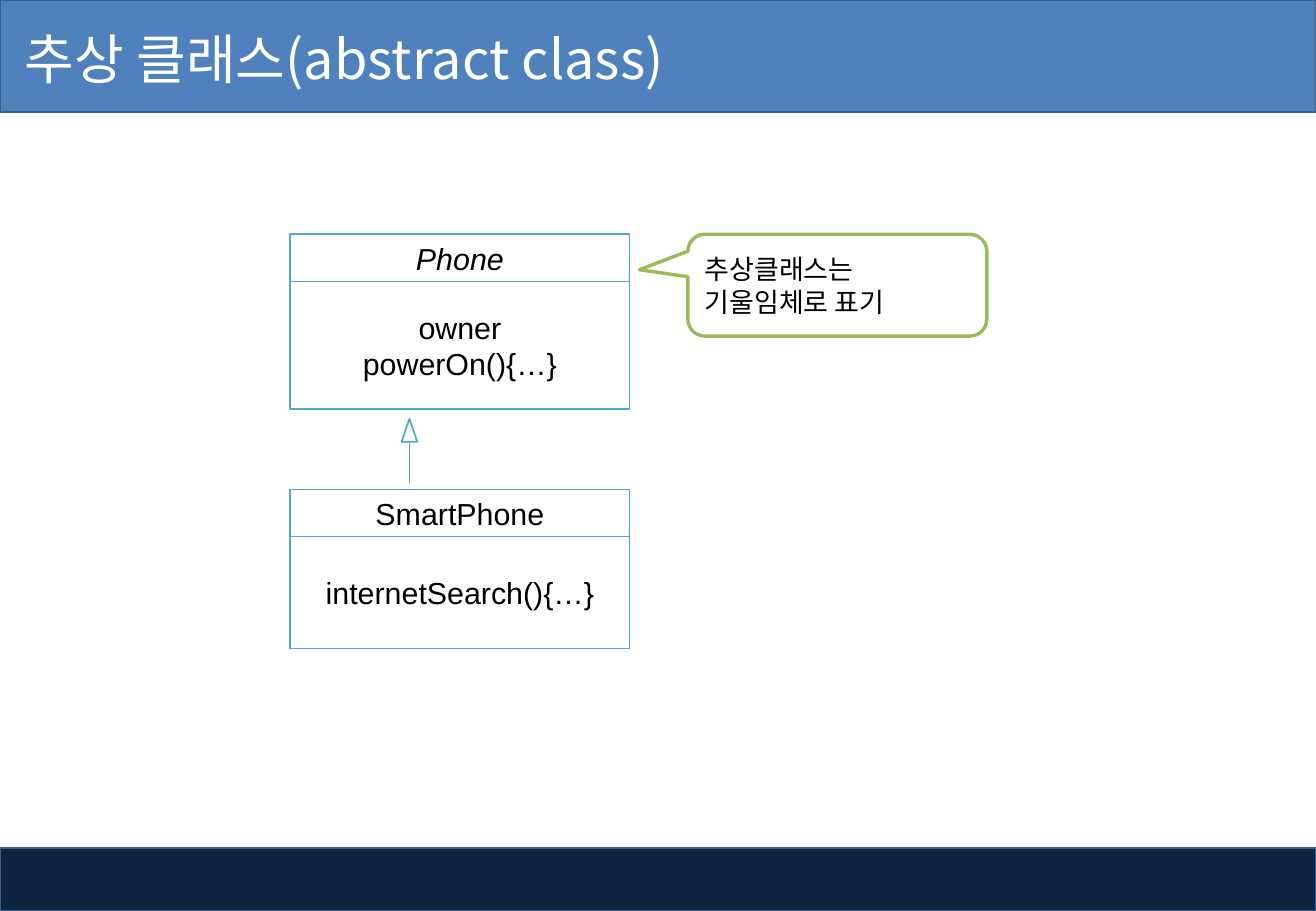
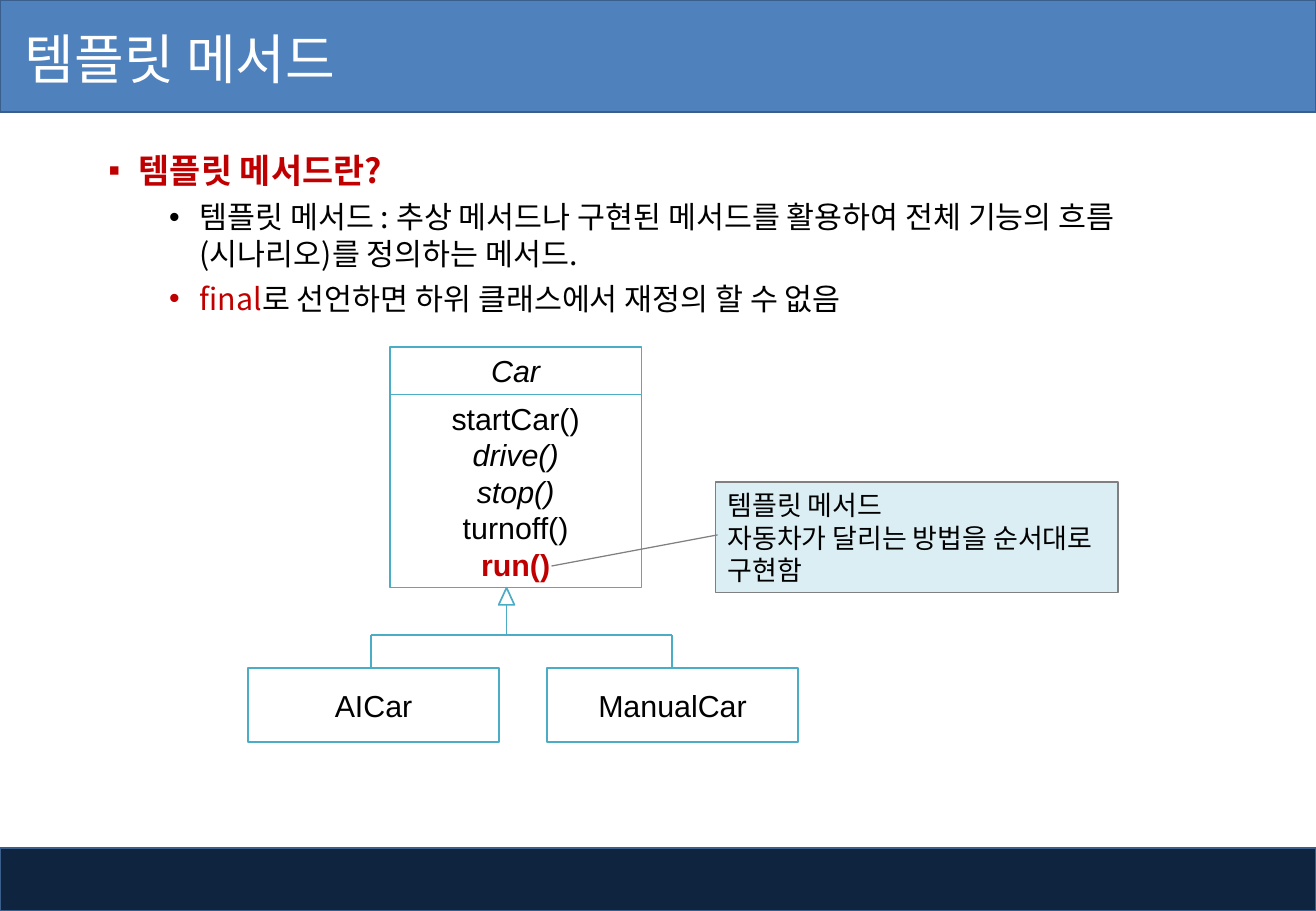
from lxml.etree import SubElement
from pptx import Presentation
from pptx.dml.color import RGBColor
from pptx.enum.shapes import MSO_CONNECTOR as Connector, MSO_SHAPE as Preset
from pptx.enum.text import MSO_ANCHOR as Anchor, MSO_AUTO_SIZE as AutoSize, PP_ALIGN as Align
from pptx.oxml.ns import qn
from pptx.util import Cm, Pt

COLORS = {
    "band": "4F81BD", "band_line": "3A5F8C", "footer": "0F243E",
    "uml": "4BACC6", "callout": "9BBB59", "note": "DBEEF4", "note_line": "808080",
    "accent": "C00000", "text": "000000", "white": "FFFFFF",
}
KOREAN, LATIN = "Noto Sans CJK KR", "Arial"
WIDTH, HEIGHT = 27.51, 19.05
LINE_FACTOR = 1.2

BANDS = [((0, 0, WIDTH, 2.34), "band"), ((0, 17.73, WIDTH, 1.32), "footer")]
TITLE_BOX = (0, 0.05, 17.2, 2.34)
BODY_BOX = (2.01, 3.0, 23.16, 3.6)

ITALIC = {"italic": True}
ACCENT = {"color": "accent"}
ACCENT_BOLD = {"color": "accent", "bold": True}

ABSTRACT_CLASS = {
    "title": "추상 클래스(abstract class)",
    "boxes": [
        ((6.07, 4.9, 7.09, 0.99), [[("Phone", ITALIC)]]),
        ((6.07, 5.89, 7.09, 2.67), [[("owner", {})], [("powerOn(){…}", {})]]),
        ((6.07, 10.24, 7.09, 0.98), [[("SmartPhone", {})]]),
        ((6.07, 11.22, 7.09, 2.34), [[("internetSearch(){…}", {})]]),
    ],
    "inheritance": (8.56, 8.76, 0.48, 10.13),
    "branches": [],
    "callout": {
        "preset": Preset.ROUNDED_RECTANGULAR_CALLOUT,
        "box": (14.38, 4.9, 6.25, 2.13),
        "adjustments": (-0.662, -0.152, 0.167),
        "fill": "white", "line": "callout", "weight": 2, "font": KOREAN,
        "lines": [[("추상클래스는 기울임체로 표기", {})]],
    },
}

BRANCH_TOP, CHILD_TOP = 13.28, 13.97
BRANCH_LEFT, BRANCH_RIGHT = 7.75, 14.05
TEMPLATE_METHOD = {
    "title": "템플릿 메서드",
    "bullets": [
        (0, [("템플릿 메서드란?", ACCENT_BOLD)]),
        (1, [("템플릿 메서드 : 추상 메서드나 구현된 메서드를 활용하여 "
              "전체 기능의 흐름(시나리오)를 정의하는 메서드.", {})]),
        (1, [("final", ACCENT), ("로 선언하면 하위 클래스에서 재정의 할 수 없음", {})]),
    ],
    "boxes": [
        ((8.15, 7.26, 5.26, 0.99), [[("Car", ITALIC)]]),
        ((8.15, 8.25, 5.26, 4.04), [
            [("startCar()", {})], [("drive()", ITALIC)], [("stop()", ITALIC)],
            [("turnoff()", {})], [("run()", ACCENT_BOLD)],
        ]),
        ((5.18, CHILD_TOP, 5.26, 1.55), [[("AICar", {})]]),
        ((11.43, CHILD_TOP, 5.26, 1.55), [[("ManualCar", {})]]),
    ],
    "inheritance": (10.59, 12.29, 0.36, BRANCH_TOP),
    "branches": [
        (BRANCH_LEFT, BRANCH_TOP, BRANCH_RIGHT, BRANCH_TOP),
        (BRANCH_LEFT, BRANCH_TOP, BRANCH_LEFT, CHILD_TOP),
        (BRANCH_RIGHT, BRANCH_TOP, BRANCH_RIGHT, CHILD_TOP),
    ],
    "callout": {
        "preset": Preset.LINE_CALLOUT_1,
        "box": (14.96, 10.08, 8.41, 2.31),
        "adjustments": (0.479, 0.005, 0.761, -0.408),
        "fill": "note", "line": "note_line", "weight": 0.75, "font": LATIN,
        "lines": [[("템플릿 메서드", {})], [("자동차가 달리는 방법을 순서대로 구현함", {})]],
    },
}

LEVELS = [
    {"size": 20, "bullet": "▪", "margin": 0.64, "before": 0},
    {"size": 18, "bullet": "•", "margin": 1.91, "before": 5},
]


def color(name):
    return RGBColor.from_string(COLORS[name])


def place(shape, box):
    for name, value in zip(("left", "top", "width", "height"), box):
        setattr(shape, name, Cm(value))


def write_paragraph(paragraph, runs, size, font_name, align=Align.LEFT):
    formats = {"alignment": align, "line_spacing": Pt(size * LINE_FACTOR),
               "space_before": Pt(0), "space_after": Pt(0)}
    for name, value in formats.items():
        setattr(paragraph, name, value)
    for text, changes in runs:
        run = paragraph.add_run()
        run.text = text
        formats = {"name": font_name, "size": Pt(size), "bold": False, "italic": False}
        formats.update(changes)
        run.font.color.rgb = color(formats.pop("color", "text"))
        for name, value in formats.items():
            setattr(run.font, name, value)
        SubElement(run._r.get_or_add_rPr(), qn("a:ea"), typeface=KOREAN)


def next_paragraph(text_frame, index):
    return text_frame.add_paragraph() if index else text_frame.paragraphs[0]


def add_box(slide, box, fill, line, weight=1, preset=Preset.RECTANGLE):
    shape = slide.shapes.add_shape(preset, *map(Cm, box))
    shape.shadow.inherit = False
    shape.fill.solid()
    shape.fill.fore_color.rgb = color(fill)
    shape.line.color.rgb = color(line)
    shape.line.width = Pt(weight)
    return shape


def write_lines(shape, lines, size, font_name, align):
    text_frame = shape.text_frame
    text_frame.word_wrap = True
    text_frame.vertical_anchor = Anchor.MIDDLE
    for index, runs in enumerate(lines):
        write_paragraph(next_paragraph(text_frame, index), runs, size, font_name, align)


def add_line(slide, points):
    connector = slide.shapes.add_connector(Connector.STRAIGHT, *map(Cm, points))
    connector.line.color.rgb = color("uml")
    connector.line.width = Pt(1)
    SubElement(connector.element.spPr, qn("a:effectLst"))


def add_inheritance(slide, center, tip, head, end):
    width = 0.33
    add_line(slide, (center, tip + head, center, end))
    add_box(slide, (center - width / 2, tip, width, head), "white", "uml",
            preset=Preset.ISOSCELES_TRIANGLE)


def add_callout(slide, callout):
    shape = add_box(slide, callout["box"], callout["fill"], callout["line"],
                    callout["weight"], callout["preset"])
    for index, value in enumerate(callout["adjustments"]):
        shape.adjustments[index] = value
    write_lines(shape, callout["lines"], 16, callout["font"], Align.LEFT)


def write_title(slide, text):
    title = slide.shapes.title
    place(title, TITLE_BOX)
    title.text_frame.auto_size = AutoSize.NONE
    title.text_frame.margin_left = Cm(0.52)
    write_lines(title, [[(text, {"color": "white"})]], 32, KOREAN, Align.LEFT)


def write_bullets(body, bullets):
    place(body, BODY_BOX)
    text_frame = body.text_frame
    text_frame.auto_size = AutoSize.NONE
    text_frame.vertical_anchor = Anchor.TOP
    for index, (number, runs) in enumerate(bullets):
        level = LEVELS[number]
        paragraph = next_paragraph(text_frame, index)
        paragraph.level = number
        write_paragraph(paragraph, runs, level["size"], KOREAN)
        paragraph.space_before = Pt(level["before"])
        properties = paragraph._p.get_or_add_pPr()
        properties.set("marL", str(Cm(level["margin"])))
        properties.set("indent", str(-Cm(0.64)))
        SubElement(properties, qn("a:buChar"), char=level["bullet"])


def add_master_bands(presentation, slide):
    tree = presentation.slide_master.shapes.element
    for index, (box, fill) in enumerate(BANDS):
        band = add_box(slide, box, fill, "band_line").element
        band.xpath(".//p:cNvPr")[0].set("id", str(50 + index))
        tree.insert(2 + index, band)


def build_slide(presentation, content):
    bullets = content.get("bullets")
    slide = presentation.slides.add_slide(presentation.slide_layouts[1 if bullets else 5])
    write_title(slide, content["title"])
    if bullets:
        write_bullets(slide.placeholders[1], bullets)
    for box, lines in content["boxes"]:
        shape = add_box(slide, box, "white", "uml")
        write_lines(shape, lines, 18, LATIN, Align.CENTER)
    add_inheritance(slide, *content["inheritance"])
    for points in content["branches"]:
        add_line(slide, points)
    add_callout(slide, content["callout"])
    return slide


def main():
    presentation = Presentation()
    presentation.slide_width = Cm(WIDTH)
    presentation.slide_height = Cm(HEIGHT)
    slides = [build_slide(presentation, content)
              for content in (ABSTRACT_CLASS, TEMPLATE_METHOD)]
    add_master_bands(presentation, slides[0])
    presentation.save("out.pptx")


if __name__ == "__main__":
    main()
